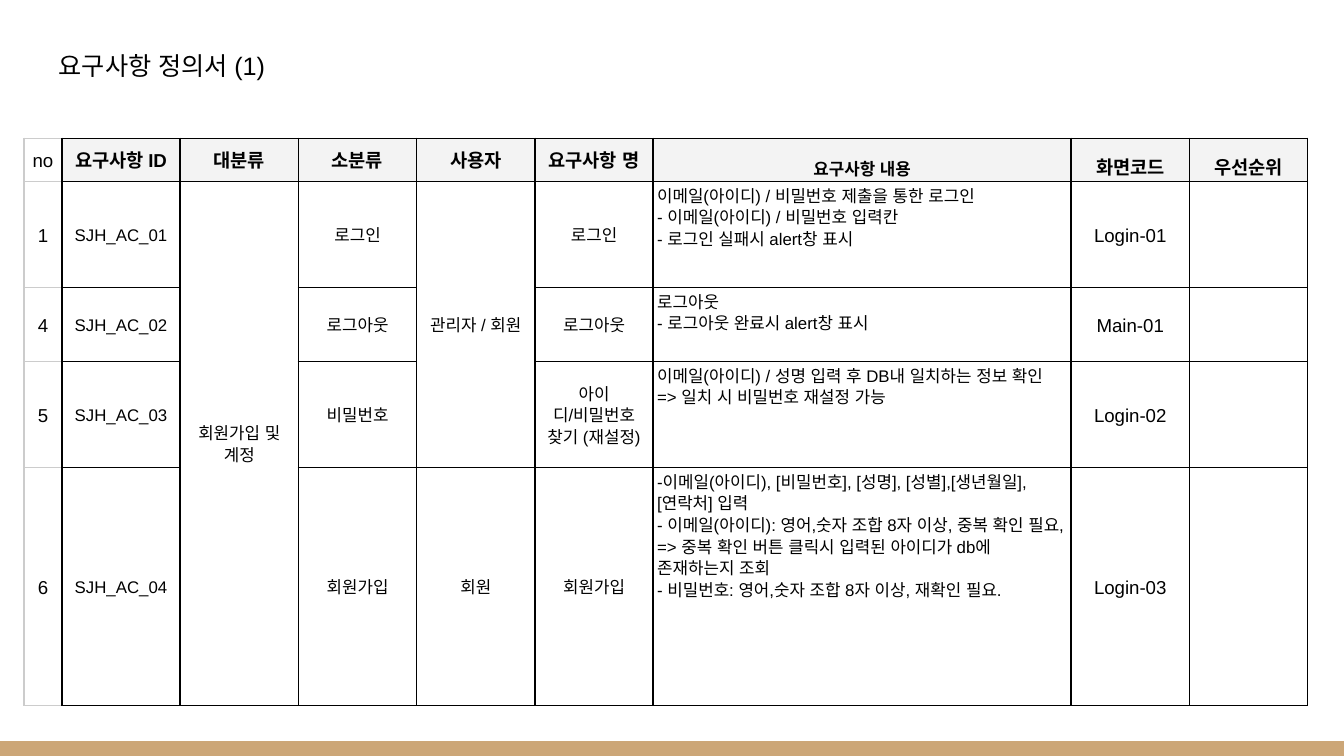
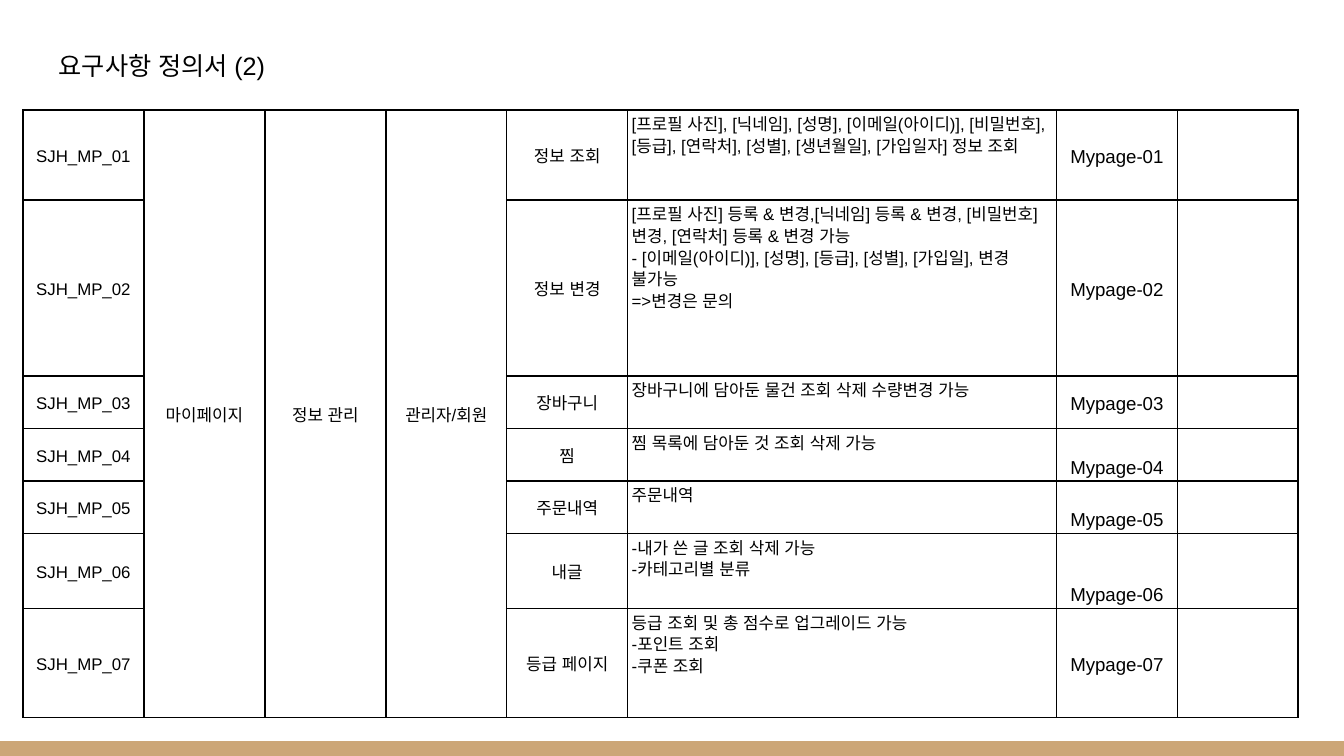
from lxml import etree
from pptx import Presentation
from pptx.dml.color import RGBColor
from pptx.enum.shapes import MSO_SHAPE
from pptx.enum.text import MSO_ANCHOR, PP_ALIGN
from pptx.oxml.ns import qn
from pptx.util import Inches, Pt

RECTANGLE = MSO_SHAPE.RECTANGLE
TOP, MIDDLE, BOTTOM = MSO_ANCHOR.TOP, MSO_ANCHOR.MIDDLE, MSO_ANCHOR.BOTTOM
LEFT, CENTER = PP_ALIGN.LEFT, PP_ALIGN.CENTER

BLACK = RGBColor(0x00, 0x00, 0x00)
GREY = RGBColor(0xCC, 0xCC, 0xCC)
HEADER_FILL = RGBColor(0xF3, 0xF3, 0xF3)
TAN = RGBColor(0xCC, 0xA6, 0x77)
FONT = "Arial"

ACCOUNT_HEADER = ["no", "요구사항 ID", "대분류", "소분류", "사용자", "요구사항 명",
                  "요구사항 내용", "화면코드", "우선순위"]
ACCOUNT_ROWS = [
    ["1", "SJH_AC_01", "회원가입 및 계정", "로그인", "관리자 / 회원", "로그인",
     "이메일(아이디) / 비밀번호 제출을 통한 로그인\n"
     "- 이메일(아이디) / 비밀번호 입력칸\n"
     "- 로그인 실패시 alert창 표시", "Login-01", ""],
    ["4", "SJH_AC_02", None, "로그아웃", None, "로그아웃",
     "로그아웃\n- 로그아웃 완료시 alert창 표시", "Main-01", ""],
    ["5", "SJH_AC_03", None, "비밀번호", None, "아이디/비밀번호 찾기 (재설정)",
     "이메일(아이디) / 성명 입력 후 DB내 일치하는 정보 확인\n"
     "=> 일치 시 비밀번호 재설정 가능", "Login-02", ""],
    ["6", "SJH_AC_04", None, "회원가입", "회원", "회원가입",
     "-이메일(아이디), [비밀번호], [성명], [성별],[생년월일], [연락처] 입력\n"
     "- 이메일(아이디): 영어,숫자 조합 8자 이상, 중복 확인 필요,\n"
     "=> 중복 확인 버튼 클릭시 입력된 아이디가 db에 존재하는지 조회\n"
     "- 비밀번호: 영어,숫자 조합 8자 이상, 재확인 필요.", "Login-03", ""],
]
MYPAGE_ITEMS = [
    ("정보 조회",
     "[프로필 사진], [닉네임], [성명], [이메일(아이디)], [비밀번호], [등급], "
     "[연락처], [성별], [생년월일], [가입일자] 정보 조회"),
    ("정보 변경",
     "[프로필 사진] 등록 & 변경,[닉네임] 등록 & 변경, [비밀번호] 변경, "
     "[연락처] 등록 & 변경 가능\n"
     "- [이메일(아이디)], [성명], [등급], [성별], [가입일], 변경 불가능\n"
     "=>변경은 문의"),
    ("장바구니", "장바구니에 담아둔 물건 조회 삭제 수량변경 가능"),
    ("찜", "찜 목록에 담아둔 것 조회 삭제 가능"),
    ("주문내역", "주문내역"),
    ("내글", "-내가 쓴 글 조회 삭제 가능\n-카테고리별 분류"),
    ("등급 페이지", "등급 조회 및 총 점수로 업그레이드 가능\n-포인트 조회\n-쿠폰 조회"),
]
MYPAGE_GROUPS = ["마이페이지", "정보 관리", "관리자/회원"]
MYPAGE_BOTTOM_ROWS = (3, 4, 5)


class RequirementDeck:
    def __init__(self):
        self.prs = Presentation()
        self.prs.slide_width = Inches(10)
        self.prs.slide_height = Inches(10) * 9 // 16
        self.slide = None

    def add_slide(self, number):
        self.slide = self.prs.slides.add_slide(self.prs.slide_layouts[6])
        self.band()
        self.title(f"요구사항 정의서 ({number})")

    def band(self):
        height = Inches(0.11)
        band = self.slide.shapes.add_shape(
            RECTANGLE, 0, self.prs.slide_height - height,
            self.prs.slide_width, height)
        band.shadow.inherit = False
        band.fill.solid()
        band.fill.fore_color.rgb = TAN
        band.line.fill.background()

    def title(self, text):
        frame = self.slide.shapes.add_textbox(
            Inches(0.34), Inches(0.35), Inches(9.32), Inches(0.35)).text_frame
        frame.word_wrap = True
        frame.vertical_anchor = BOTTOM
        frame.margin_left = frame.margin_right = Inches(0.1)
        frame.margin_top = frame.margin_bottom = Inches(0.1)
        frame.text = text
        self.font(frame.paragraphs[0], 13.5)

    def font(self, paragraph, size, bold=False):
        paragraph.font.name = FONT
        paragraph.font.size = Pt(size)
        paragraph.font.bold = bold
        paragraph.font.color.rgb = BLACK
        defaults = paragraph._p.pPr.find(qn("a:defRPr"))
        for tag in (qn("a:ea"), qn("a:cs")):
            if defaults.find(tag) is None:
                etree.SubElement(defaults, tag, typeface=FONT)

    def table(self, left, top, widths, heights, rows):
        table = self.slide.shapes.add_table(
            len(rows), len(widths), Inches(left), Inches(top),
            Inches(sum(widths)), Inches(sum(heights))).table
        table.first_row = table.horz_banding = False
        for column, width in zip(table.columns, widths):
            column.width = Inches(width)
        for row, height in zip(table.rows, heights):
            row.height = Inches(height)
        for r, texts in enumerate(rows):
            for c, text in enumerate(texts):
                self.cell(table.cell(r, c), text or "")
        self.merge_down(table, rows)
        return table

    def merge_down(self, table, rows):
        for c, column in enumerate(zip(*rows)):
            for r, text in enumerate(column):
                last = r
                while last + 1 < len(column) and column[last + 1] is None:
                    last += 1
                if text is not None and last > r:
                    table.cell(r, c).merge(table.cell(last, c))

    def cell(self, cell, text):
        cell.margin_left = cell.margin_right = Inches(0.03)
        cell.margin_top = cell.margin_bottom = Inches(0.02)
        cell.text = text
        self.style(cell)
        self.borders(cell)
        cell.fill.background()

    def style(self, cell, size=9, bold=False, align=CENTER, anchor=MIDDLE):
        cell.vertical_anchor = anchor
        for paragraph in cell.text_frame.paragraphs:
            paragraph.alignment = align
            paragraph.line_spacing = 1.15
            self.font(paragraph, size, bold)

    def borders(self, cell, grey_sides=""):
        properties = cell._tc.get_or_add_tcPr()
        for position, side in enumerate("LRTB"):
            tag = qn(f"a:ln{side}")
            for old in properties.findall(tag):
                properties.remove(old)
            line = etree.Element(tag, w=str(Pt(1)))
            fill = etree.SubElement(line, qn("a:solidFill"))
            color = GREY if side in grey_sides else BLACK
            etree.SubElement(fill, qn("a:srgbClr"), val=str(color))
            properties.insert(position, line)

    def body_columns(self, table, first_row, detail, code):
        for r in range(first_row, len(table.rows)):
            self.style(table.cell(r, detail), align=LEFT, anchor=TOP)
            self.style(table.cell(r, code), size=10)

    def header(self, table, detail):
        for c in range(1, len(table.columns)):
            cell = table.cell(0, c)
            self.style(cell, size=9 if c == detail else 10, bold=True,
                       anchor=BOTTOM if c >= detail else MIDDLE)
            cell.fill.solid()
            cell.fill.fore_color.rgb = HEADER_FILL

    def number_column(self, table):
        for r in range(len(table.rows)):
            self.style(table.cell(r, 0), size=10)
            self.borders(table.cell(r, 0), grey_sides="LTB")


def main():
    deck = RequirementDeck()

    deck.add_slide(1)
    account = deck.table(0.18, 1.03, [0.28] + [0.88] * 5 + [3.11] + [0.88] * 2,
                         [0.32, 0.79, 0.55, 0.79, 1.77],
                         [ACCOUNT_HEADER] + ACCOUNT_ROWS)
    deck.header(account, detail=6)
    deck.body_columns(account, first_row=1, detail=6, code=7)
    deck.number_column(account)

    deck.add_slide(2)
    mypage_rows = [
        [f"SJH_MP_{i:02}", *(MYPAGE_GROUPS if i == 1 else [None] * 3),
         name, detail, f"Mypage-{i:02}", ""]
        for i, (name, detail) in enumerate(MYPAGE_ITEMS, 1)]
    mypage = deck.table(0.17, 0.82, [0.9] * 5 + [3.19] + [0.9] * 2,
                        [0.67, 1.31, 0.39, 0.39, 0.39, 0.56, 0.81], mypage_rows)
    deck.body_columns(mypage, first_row=0, detail=5, code=6)
    for r in MYPAGE_BOTTOM_ROWS:
        deck.style(mypage.cell(r, 6), size=10, anchor=BOTTOM)

    deck.prs.save("out.pptx")


if __name__ == "__main__":
    main()
